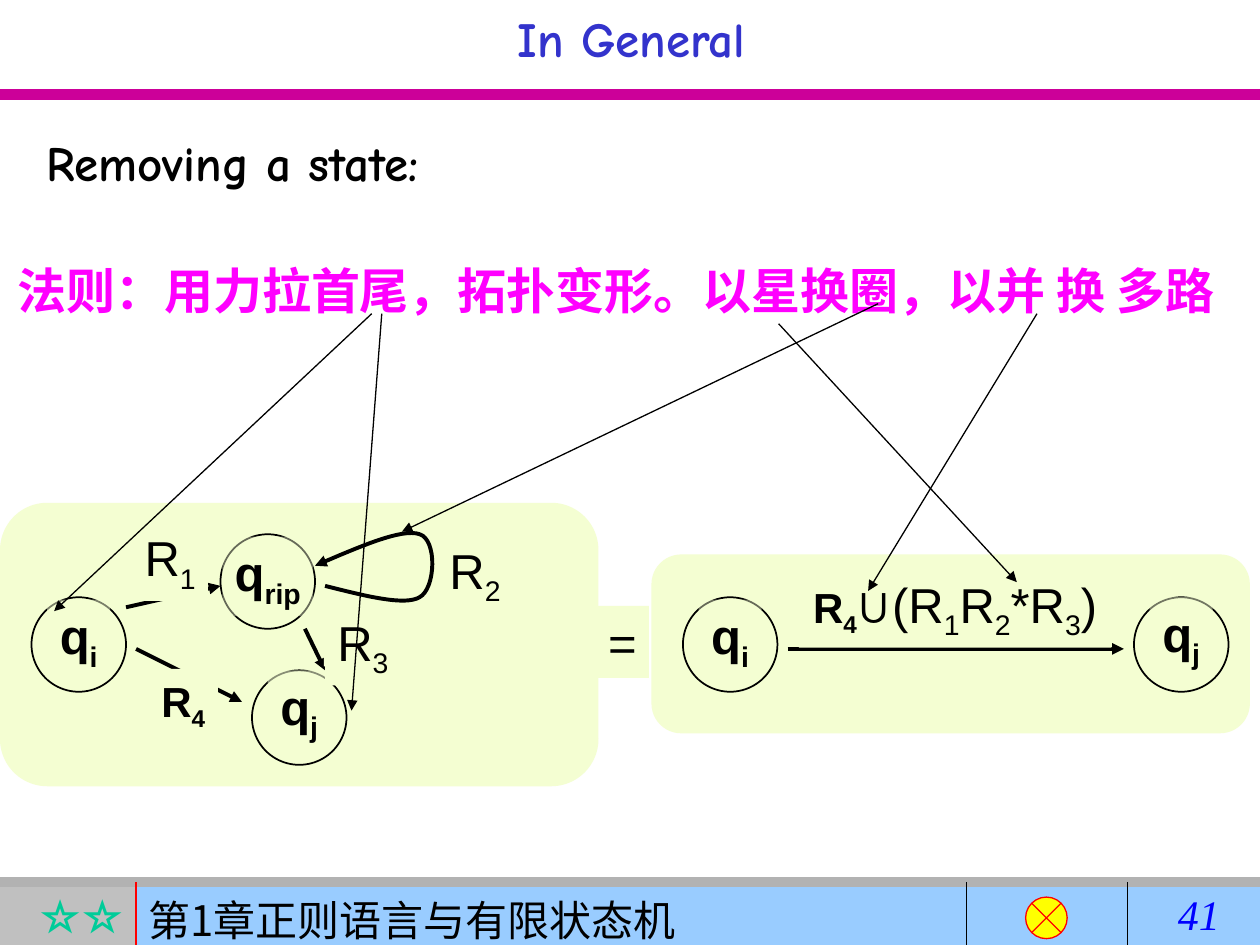
from pptx import Presentation
from pptx.dml.color import RGBColor
from pptx.enum.shapes import MSO_CONNECTOR, MSO_SHAPE
from pptx.enum.text import MSO_ANCHOR, PP_ALIGN
from pptx.oxml.ns import qn
from pptx.util import Cm, Pt
from lxml.etree import SubElement

COLORS = {
    "white": "FFFFFF", "black": "000000", "pale": "F4FED2", "magenta": "CC0099",
    "pink": "FF00FF", "navy": "3333CC", "blue": "0000FF", "sky": "99CCFF",
    "silver": "C0C0C0", "gray": "B2B2B2", "red": "FF0000", "yellow": "FFFF00",
    "green": "00CC99",
}
CJK = "Noto Sans CJK SC"
TIMES = "Times New Roman"
STYLES = {"state": (28, True), "plain": (28, False), "small": (24, True)}
DISK = 0.75
RECT = MSO_SHAPE.RECTANGLE
PANEL = MSO_SHAPE.FLOWCHART_ALTERNATE_PROCESS

RULES = [
    ((0, 7), (10, 7), "gray", 6),
    ((1.08, 7), (1.08, 7.5), "red", 0.75),
    ((7.67, 7), (7.67, 7.5), "black", 0.75),
    ((8.95, 7), (8.95, 7.5), "black", 0.75),
]
UNION = [("small", "R", "4"), ("plain", "∪(R", "1"), ("plain", "R", "2"),
         ("plain", "*R", "3"), ("plain", ")", "")]
LOOP = [
    ((2.58, 4.65), (2.9, 4.73), (3.21, 4.81), (3.33, 4.74)),
    ((3.33, 4.74), (3.46, 4.67), (3.47, 4.28), (3.33, 4.24)),
    ((3.33, 4.24), (3.19, 4.19), (2.85, 4.34), (2.5, 4.49)),
]
GRAPH = [
    ("panel", (5.17, 4.4, 4.75, 1.42)),
    ("state", (5.42, 4.74), "i", 0.5, 0.02, 42),
    ("edge", (6.25, 5.15), (8.92, 5.15)),
    ("label", (6.34, 4.51, 2.48, 0.63), UNION),
    ("state", (9, 4.74), "j", 0.5, 0, 47),
    ("panel", (0, 3.99, 4.75, 2.25)),
    ("state", (0.25, 4.74), "i", 0.5, 0.02, 50),
    ("edge", (1.08, 5.15), (1.92, 5.57)),
    ("label", (3.47, 4.24, 0.6, 0.63), [("plain", "R", "2")]),
    ("state", (2, 5.32), "j", 0.5, 0, 56),
    ("label", (1.18, 5.31, 0.55, 0.56), [("small", "R", "4")]),
    ("state", (1.75, 4.24), "rip", 0.72, 0.02, 42),
    ("edge", (1, 4.82), (1.75, 4.65)),
    ("label", (1.05, 4.14, 0.6, 0.63), [("plain", "R", "1")]),
    ("edge", (2.42, 4.99), (2.58, 5.32)),
    ("patch", (2.57, 4.72, 0.2, 0.57)),
    ("label", (2.58, 4.81, 0.6, 0.63), [("plain", "R", "3")]),
    ("loop", LOOP),
    ("label", (4.73, 4.81, 0.42, 0.57), [("plain", "=", "")]),
]
HINTS = [
    ((2.95, 2.49), (0.43, 4.85)),
    ((3.03, 2.49), (2.79, 5.64)),
    ((6.97, 2.41), (3.19, 4.22)),
    ((6.18, 2.57), (8.07, 4.62)),
    ((8.23, 2.49), (6.89, 4.69)),
]


def inch(value):
    return Cm(value * 2.54)


def paint(color):
    return RGBColor.from_string(COLORS[color])


def shape(kind, box, fill=None, line=None, width=1):
    item = slide.shapes.add_shape(kind, *map(inch, box))
    item.shadow.inherit = False
    dress(item, fill, line, width)
    return item


def dress(item, fill, line, width):
    if fill:
        item.fill.solid()
        item.fill.fore_color.rgb = paint(fill)
    else:
        item.fill.background()
    if line:
        item.line.color.rgb = paint(line)
        item.line.width = Pt(width)
    else:
        item.line.fill.background()


def arrow(item):
    line = item._element.spPr.find(qn("a:ln"))
    SubElement(line, qn("a:tailEnd"), type="triangle")


def stroke(start, end, color="black", width=0.75, head=False):
    ends = map(inch, (*start, *end))
    item = slide.shapes.add_connector(MSO_CONNECTOR.STRAIGHT, *ends)
    item.line.color.rgb = paint(color)
    item.line.width = Pt(width)
    if head:
        arrow(item)
    SubElement(item._element.spPr, qn("a:effectLst"))


def style(run, size, face, color, bold=False, slant=False):
    font = run.font
    font.size, font.name, font.bold, font.italic = Pt(size), face, bold, slant
    font.color.rgb = paint(color)
    if any("一" <= sign <= "龥" for sign in run.text):
        SubElement(run._r.get_or_add_rPr(), qn("a:ea"), typeface=CJK)


def frame(item, align, text="", wrap=True):
    area = item.text_frame
    area.text = text
    area.word_wrap = wrap
    area.vertical_anchor = MSO_ANCHOR.TOP
    area.paragraphs[0].alignment = align
    return area


def write(box, text, size, face, color, fill=None, align=PP_ALIGN.LEFT,
          bold=False, slant=False, wrap=True):
    if fill:
        item = shape(RECT, box, fill)
    else:
        item = slide.shapes.add_textbox(*map(inch, box))
    area = frame(item, align, text, wrap)
    style(area.paragraphs[0].runs[0], size, face, color, bold, slant)
    return area


def label(box, parts):
    item = shape(RECT, box, "pale")
    area = frame(item, PP_ALIGN.CENTER, wrap=False)
    area.margin_left = area.margin_right = 0
    for name, base, sub in parts:
        size, bold = STYLES[name]
        for text in filter(None, (base, sub)):
            run = area.paragraphs[0].add_run()
            run.text = text
            style(run, size, "Arial", "black", bold)
            if text is sub:
                run._r.get_or_add_rPr().set("baseline", "-25000")
    return item


def state(spot, sub, width, drop, alpha):
    left, top = spot
    shape(MSO_SHAPE.OVAL, (left, top, DISK, DISK), "pale", "black")
    box = (left + (DISK - width) / 2, top + drop, width, 0.63)
    item = label(box, [("state", "q", sub)])
    tint = item._element.spPr.find(qn("a:solidFill"))[0]
    SubElement(tint, qn("a:alpha"), val=str(alpha * 1000))


def curve(a, b, c, d, steps=16):
    for step in range(1, steps + 1):
        t = step / steps
        u = 1 - t
        yield tuple(inch(u**3 * p + 3 * u * u * t * q + 3 * u * t * t * r + t**3 * s)
                    for p, q, r, s in zip(a, b, c, d))


def loop(arcs):
    pen = slide.shapes.build_freeform(*map(inch, arcs[0][0]))
    pen.add_line_segments([spot for arc in arcs for spot in curve(*arc)], close=False)
    item = pen.convert_to_shape()
    item.shadow.inherit = False
    dress(item, "pale", "black", 2.25)
    arrow(item)


def edge(start, end):
    stroke(start, end, width=2.25, head=True)


def panel(box):
    shape(PANEL, box, "pale")


def patch(box):
    shape(RECT, box, "pale")


DRAW = {"panel": panel, "patch": patch, "state": state, "edge": edge,
        "label": label, "loop": loop}

deck = Presentation()
deck.slide_width, deck.slide_height = inch(10), inch(7.5)
slide = deck.slides.add_slide(deck.slide_layouts[6])

stroke((0, 0.75), (10, 0.75), "magenta", 6)
write((0, 7, 1.08, 0.5), "☆☆", 24, TIMES, "green", "silver", PP_ALIGN.RIGHT, True)
chapter = write((1.08, 7, 8.92, 0.5), "第1章正则语言与有限状态机", 24, CJK, "black", "sky")
chapter.margin_top = inch(0.1)
for rule in RULES:
    stroke(*rule)
shape(MSO_SHAPE.FLOWCHART_SUMMING_JUNCTION, (8.14, 7.12, 0.33, 0.33),
      "yellow", "red", 0.75)
write((9.25, 7, 0.75, 0.5), "41", 24, TIMES, "blue", slant=True)

title = write((0.51, 0, 9, 0.6), "In General", 28, "Comic Neue", "navy", "white",
              PP_ALIGN.CENTER, True)
title.vertical_anchor = MSO_ANCHOR.MIDDLE
body = write((0.27, 0.99, 9, 4.95), "Removing a state:", 28, "Comic Neue", "black",
             "white", bold=True)
body.margin_top = inch(0.06)

for name, *rest in GRAPH:
    DRAW[name](*rest)
motto = write((0.04, 2.02, 9.69, 0.57), "法则：用力拉首尾，拓扑变形。以星换圈，以并 换 多路",
              28, TIMES, "pink", bold=True, wrap=False)
motto.margin_right = 0
for start, end in HINTS:
    stroke(start, end, head=True)

deck.save("out.pptx")
